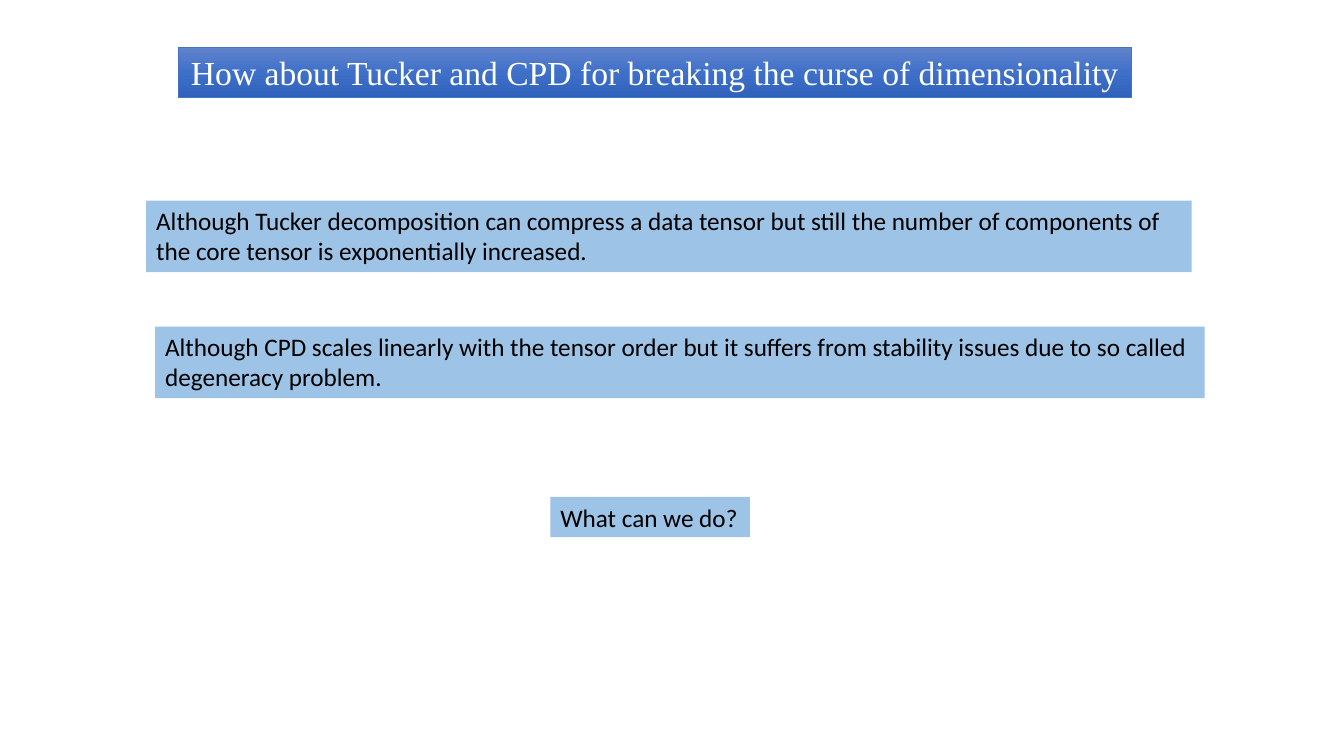
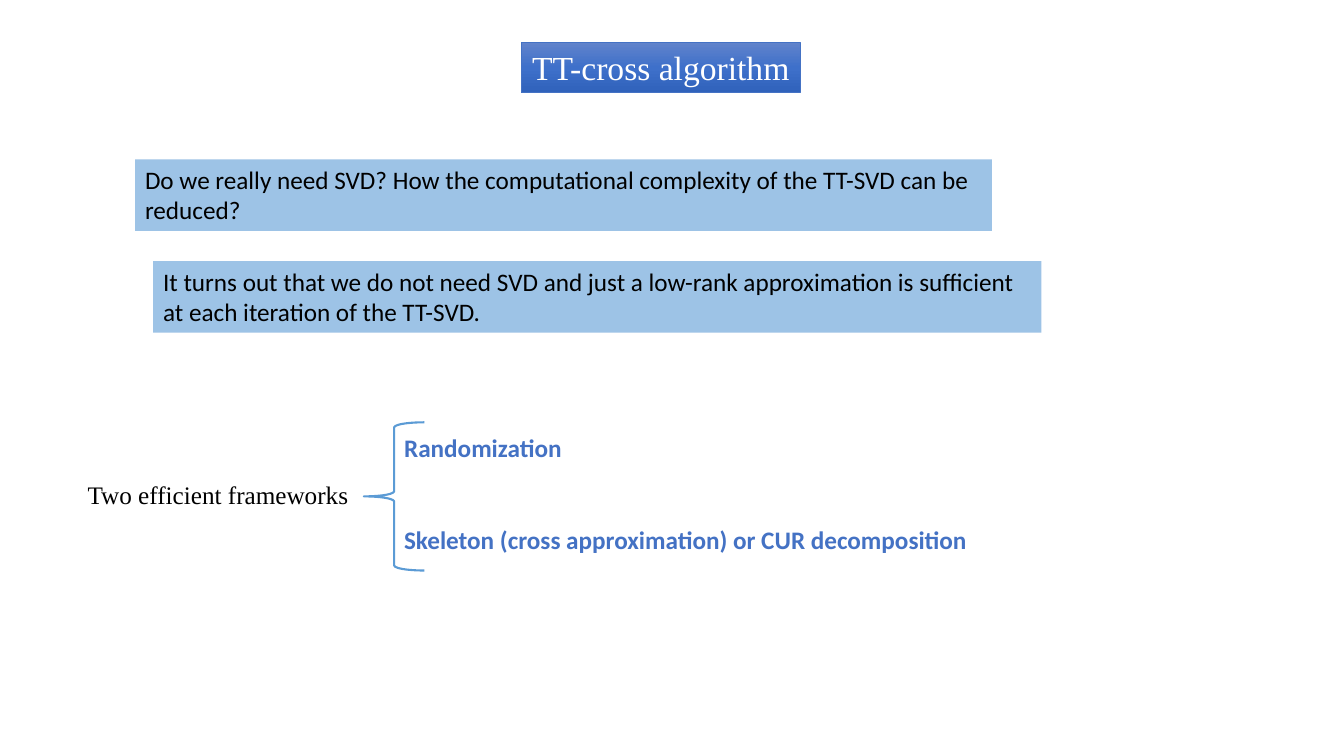
from copy import deepcopy
from dataclasses import dataclass

from pptx import Presentation
from pptx import util as u
from pptx.dml import color
from pptx.enum import shapes, text


@dataclass(frozen=True)
class Theme:
    # colours
    white: str = "FFFFFF"
    black: str = "000000"
    accent: str = "4472C4"
    note: str = "9DC3E6"
    brace: str = "5B9BD5"
    band: tuple = ("6183CB", "3E70CA", "3062BB")
    # type
    serif: str = "Times New Roman"
    sans: str = "Calibri"
    head: int = 24
    body: int = 18
    # heights, in percent of the slide
    tall: float = 6.67
    line: float = 5.33
    pair: float = 9.47


T = Theme()
WIDE, HIGH = u.Inches(13.333), u.Inches(7.5)


def rgb(code):
    return color.RGBColor.from_string(code)


def area(left, top, width, height):
    """Turn percents of the slide into lengths."""
    return (int(WIDE * left / 100), int(HIGH * top / 100),
            int(WIDE * width / 100), int(HIGH * height / 100))


def write(shape, words, font=T.sans, size=T.body, ink=T.black, bold=False,
          align=text.PP_ALIGN.LEFT, wrap=True):
    """Fill a shape with text, one paragraph to a line."""
    frame = shape.text_frame
    frame.word_wrap = wrap
    frame.vertical_anchor = text.MSO_ANCHOR.TOP
    frame.text = words
    for para in frame.paragraphs:
        para.alignment = align
        face = para.font
        face.name, face.size, face.bold = font, u.Pt(size), bold
        face.color.rgb = rgb(ink)


def draw(slide, kind, box, fill=None, line=None, weight=0.5):
    """Add a preset shape with a plain fill and line."""
    shape = slide.shapes.add_shape(kind, *area(*box))
    shape.shadow.inherit = False
    if fill:
        shape.fill.solid()
        shape.fill.fore_color.rgb = rgb(fill)
    else:
        shape.fill.background()
    if line:
        shape.line.color.rgb = rgb(line)
        shape.line.width = u.Pt(weight)
    else:
        shape.line.fill.background()
    return shape


def shade(shape, tones):
    """Run an even gradient from top to bottom."""
    shape.fill.gradient()
    shape.fill.gradient_angle = 270
    first, last = shape.fill.gradient_stops
    stops = first._gs.getparent()
    stops.insert(1, deepcopy(first._gs))
    for i, (stop, tone) in enumerate(zip(shape.fill.gradient_stops, tones)):
        stop.position = i / (len(tones) - 1)
        stop.color.rgb = rgb(tone)


def title(slide, words, left, top, width):
    band = draw(slide, shapes.MSO_SHAPE.RECTANGLE,
                (left, top, width, T.tall), line=T.accent)
    shade(band, T.band)
    write(band, words, font=T.serif, size=T.head, ink=T.white,
          align=text.PP_ALIGN.CENTER)


def note(slide, words, left, top, width, height=T.pair, wrap=True):
    box = draw(slide, shapes.MSO_SHAPE.RECTANGLE,
               (left, top, width, height), fill=T.note)
    write(box, words, wrap=wrap)


def label(slide, words, left, top, width, **style):
    box = slide.shapes.add_textbox(*area(left, top, width, T.line))
    write(box, words, wrap=False, **style)


def curse(slide):
    title(slide, "How about Tucker and CPD for breaking the curse of "
          "dimensionality", 13.28, 6.27, 70.88)
    note(slide, "Although Tucker decomposition can compress a data tensor but "
         "still the number of components of the core tensor is exponentially "
         "increased.", 10.88, 26.53, 77.78)
    note(slide, "Although CPD scales linearly with the tensor order but it "
         "suffers from stability issues due to so called\n"
         "degeneracy problem.", 11.55, 43.2, 78.08)
    note(slide, "What can we do?", 40.95, 65.73, 14.85, T.line, wrap=False)


def cross(slide):
    title(slide, "TT-cross algorithm", 38.78, 5.6, 20.78)
    note(slide, "Do we really need SVD? How the computational complexity of "
         "the TT-SVD can be\nreduced?", 10.05, 21.07, 63.75)
    note(slide, "It turns out that we do not need SVD and just a low-rank "
         "approximation is sufficient\nat each iteration of the TT-SVD.",
         11.4, 34.53, 66.08)
    # the two frameworks
    label(slide, "Two efficient frameworks", 5.78, 62.8, 21, font=T.serif)
    draw(slide, shapes.MSO_SHAPE.LEFT_BRACE, (27.08, 55.87, 4.5, 19.6),
         line=T.brace, weight=1.5)
    for words, top, width in (
            ("Randomization", 56.53, 13.35),
            ("Skeleton (cross approximation) or CUR decomposition",
             68.67, 44.18)):
        label(slide, words, 29.33, top, width, ink=T.accent, bold=True)


def main():
    deck = Presentation()
    deck.slide_width, deck.slide_height = WIDE, HIGH
    blank = deck.slide_layouts[6]
    for build in (curse, cross):
        build(deck.slides.add_slide(blank))
    deck.save("out.pptx")


if __name__ == "__main__":
    main()
